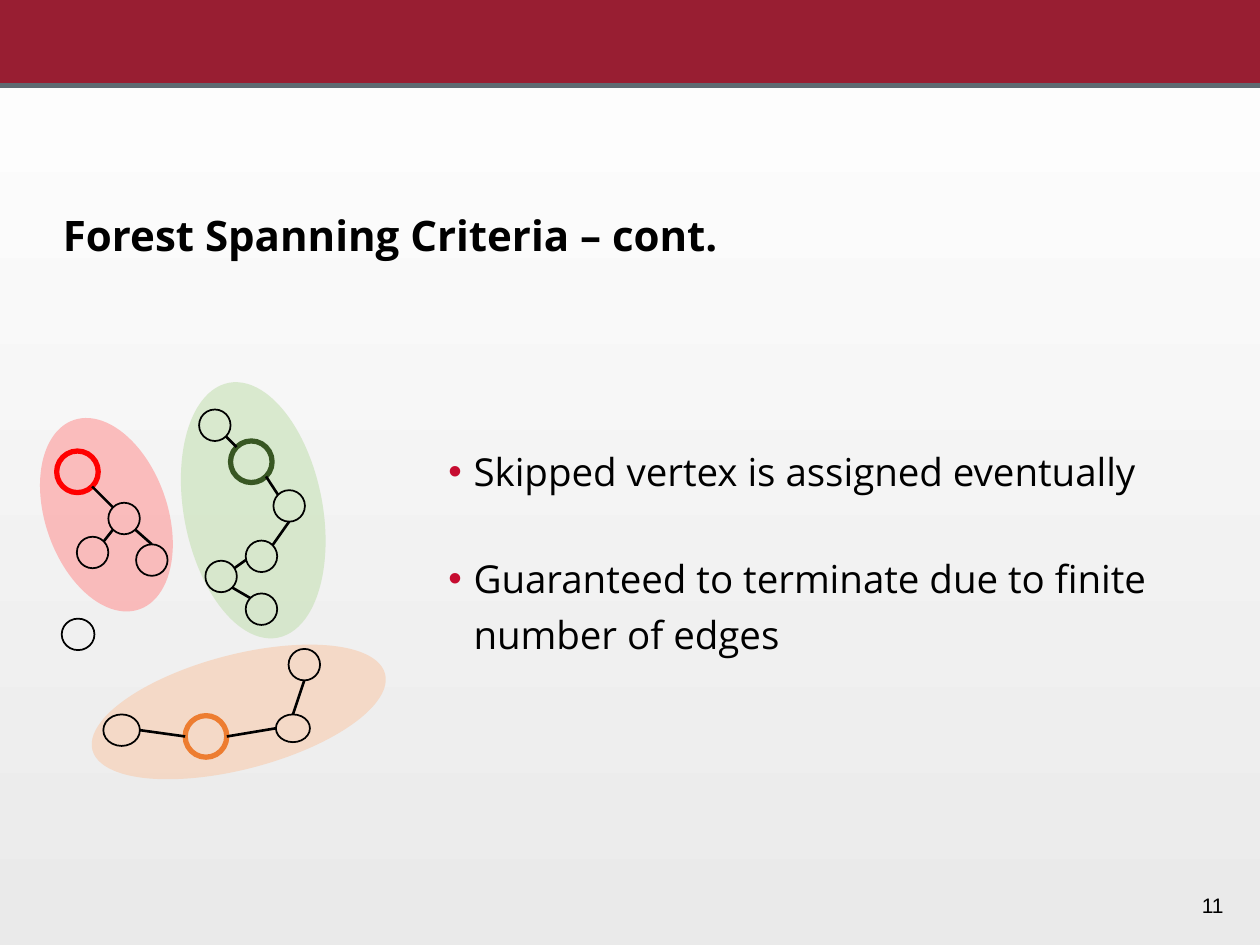
from dataclasses import dataclass
from math import cos, radians, sin

from lxml import etree
from pptx import Presentation
from pptx import util as u
from pptx.dml import color as clr
from pptx.enum import shapes, text
from pptx.oxml import ns

# The grid has square cells: 100 columns by 75 rows
COLS, ROWS = 100, 75
WIDE, HIGH = u.Inches(10), u.Inches(7.5)


@dataclass(frozen=True)
class Theme:
    font: str = "Open Sans"
    plain: str = "Arial"
    ink: str = "000000"
    band: str = "981E32"
    rule: str = "5E6A71"
    mark: str = "C60C30"
    low: str = "EAEAEA"
    high: str = "FFFFFF"
    head: float = 24
    body: float = 22
    note: float = 12
    thin: float = 1
    edge: float = 1.5
    bold: float = 3


T = Theme()
RED, GREEN, AMBER = "FF0000", "385723", "ED7D31"

# Tree areas: left, top, width, height, turn, colour
AREAS = [
    (14.4, 44.5, 9.1, 24, 255.4, "F8CBAD"),
    (3.6, 32.9, 9.7, 15.9, 340.9, "FF9797"),
    (14.6, 30.2, 11, 20.6, 349.1, "C5E0B4"),
]

# Vertices: left, top, then width and height if not the usual size
SIZE, BIG = (2.5, 2.5), (3.3, 3.3)
NODES = {
    "g1": (15.8, 32.5, *SIZE),
    "g2": (18.3, 35, *BIG),
    "g3": (21.7, 38.9, *SIZE),
    "g4": (19.5, 42.9, *SIZE),
    "g5": (16.3, 44.5, *SIZE),
    "g6": (19.5, 47.1, *SIZE),
    "r1": (4.5, 35.8, *BIG),
    "r2": (8.6, 39.9, *SIZE),
    "r3": (6.1, 42.6, *SIZE),
    "r4": (10.8, 43.2, *SIZE),
    "skip": (4.9, 49.1, 2.6, 2.5),
    "o1": (8.2, 56.7, 2.9, 2.5),
    "o2": (14.7, 56.8, *BIG),
    "o3": (21.9, 56.7, 2.7, 2.2),
    "o4": (22.9, 51.5, *SIZE),
}
ROOTS = {"r1": RED, "g2": GREEN, "o2": AMBER}

# Edges: vertex and angle at each end, clockwise from the right
EDGES = [
    ("g1", 45, "g2", 225), ("g2", 45, "g3", 225),
    ("g3", 90, "g4", 315), ("g5", 328, "g4", 167),
    ("g5", 45, "g6", 225), ("r1", 45, "r2", 225),
    ("r2", 135, "r3", 315), ("r2", 45, "r4", 270),
    ("o1", 0, "o2", 180), ("o2", 0, "o3", 180),
    ("o3", 270, "o4", 90),
]


def rgb(code):
    return clr.RGBColor.from_string(code)


def grid(*nums):
    """Turn column, row, column, row ... into lengths."""
    units = (WIDE / COLS, HIGH / ROWS)
    return [round(n * units[i % 2]) for i, n in enumerate(nums)]


def shape(page, kind, box, fill=None, line=None, width=T.thin, turn=0, alpha=None):
    item = page.shapes.add_shape(kind, *grid(*box))
    item.shadow.inherit = False
    item.rotation = turn
    if fill:
        item.fill.solid()
        item.fill.fore_color.rgb = rgb(fill)
    else:
        item.fill.background()
    if line:
        item.line.color.rgb = rgb(line)
        item.line.width = u.Pt(width)
    else:
        item.line.fill.background()
    if alpha:
        tone = item.fill._xPr.find(".//" + ns.qn("a:srgbClr"))
        etree.SubElement(tone, ns.qn("a:alpha"), val=str(alpha * 1000))
    return item


def link(page, start, end, color=T.ink, width=T.edge):
    item = page.shapes.add_connector(
        shapes.MSO_CONNECTOR.STRAIGHT, *grid(*start, *end))
    item.line.color.rgb = rgb(color)
    item.line.width = u.Pt(width)
    etree.SubElement(item._element.spPr, ns.qn("a:effectLst"))


def bullet(para):
    props = para._p.get_or_add_pPr()
    props.set("marL", str(u.Inches(0.38)))
    props.set("indent", str(u.Inches(-0.2)))
    tint = etree.SubElement(props, ns.qn("a:buClr"))
    etree.SubElement(tint, ns.qn("a:srgbClr"), val=T.mark)
    etree.SubElement(props, ns.qn("a:buFont"), typeface=T.plain)
    etree.SubElement(props, ns.qn("a:buChar"), char="•")


def write(page, box, *lines, size, font=T.font, bold=False, inset=0.1, low=False,
          align=text.PP_ALIGN.LEFT, space=1, before=0, after=0, dots=False):
    frame = page.shapes.add_textbox(*grid(*box)).text_frame
    frame.word_wrap = True
    frame.margin_left = frame.margin_right = u.Inches(inset)
    anchor = text.MSO_ANCHOR
    frame.vertical_anchor = anchor.BOTTOM if low else anchor.TOP
    for i, words in enumerate(lines):
        para = frame.add_paragraph() if i else frame.paragraphs[0]
        para.text = words
        para.alignment = align
        para.line_spacing = space
        para.space_before = u.Pt(before if i else 0)
        para.space_after = u.Pt(after)
        if dots:
            bullet(para)
        para.font.name = font
        para.font.size = u.Pt(size)
        para.font.bold = bold
        para.font.color.rgb = rgb(T.ink)


def rim(name, angle):
    """Point on a vertex outline at the given angle."""
    x, y, w, h = NODES[name]
    turn = radians(angle)
    return x + w / 2 * (1 + cos(turn)), y + h / 2 * (1 + sin(turn))


def frame(page):
    # Background fades upward to white
    fill = page.background.fill
    fill.gradient()
    fill.gradient_angle = 90
    for stop, code in zip(fill.gradient_stops, (T.low, T.high)):
        stop.color.rgb = rgb(code)
    # Top band and its rule
    shape(page, shapes.MSO_SHAPE.RECTANGLE, (0, 0, COLS, 6.7), fill=T.band)
    link(page, (-0.2, 6.8), (COLS, 6.8), T.rule, T.bold)


def forest(page):
    oval = shapes.MSO_SHAPE.OVAL
    for *box, turn, code in AREAS:
        shape(page, oval, box, fill=code, turn=turn, alpha=60)
    for name, box in NODES.items():
        root = name in ROOTS
        shape(page, oval, box, line=ROOTS.get(name, T.ink),
              width=T.bold if root else T.thin)
    for a, out, b, into in EDGES:
        link(page, rim(a, out), rim(b, into))


def main():
    deck = Presentation()
    deck.slide_width, deck.slide_height = WIDE, HIGH
    page = deck.slides.add_slide(deck.slide_layouts[6])
    frame(page)
    # Title, page number and main points
    write(page, (0, 16.6, COLS, 4.6), "Forest Spanning Criteria – cont.",
          size=T.head, bold=True, inset=0.5, low=True, space=0.9)
    write(page, (84.5, 68.1, 13.6, 5.2), "11", size=T.note, font=T.plain,
          low=True, align=text.PP_ALIGN.RIGHT)
    write(page, (32.8, 34.3, 61.5, 18.1),
          "Skipped vertex is assigned eventually",
          "Guaranteed to terminate due to finite number of edges",
          size=T.body, space=1.2, before=12, after=18, dots=True)
    # Spanning forest
    forest(page)
    deck.save("out.pptx")


if __name__ == "__main__":
    main()
